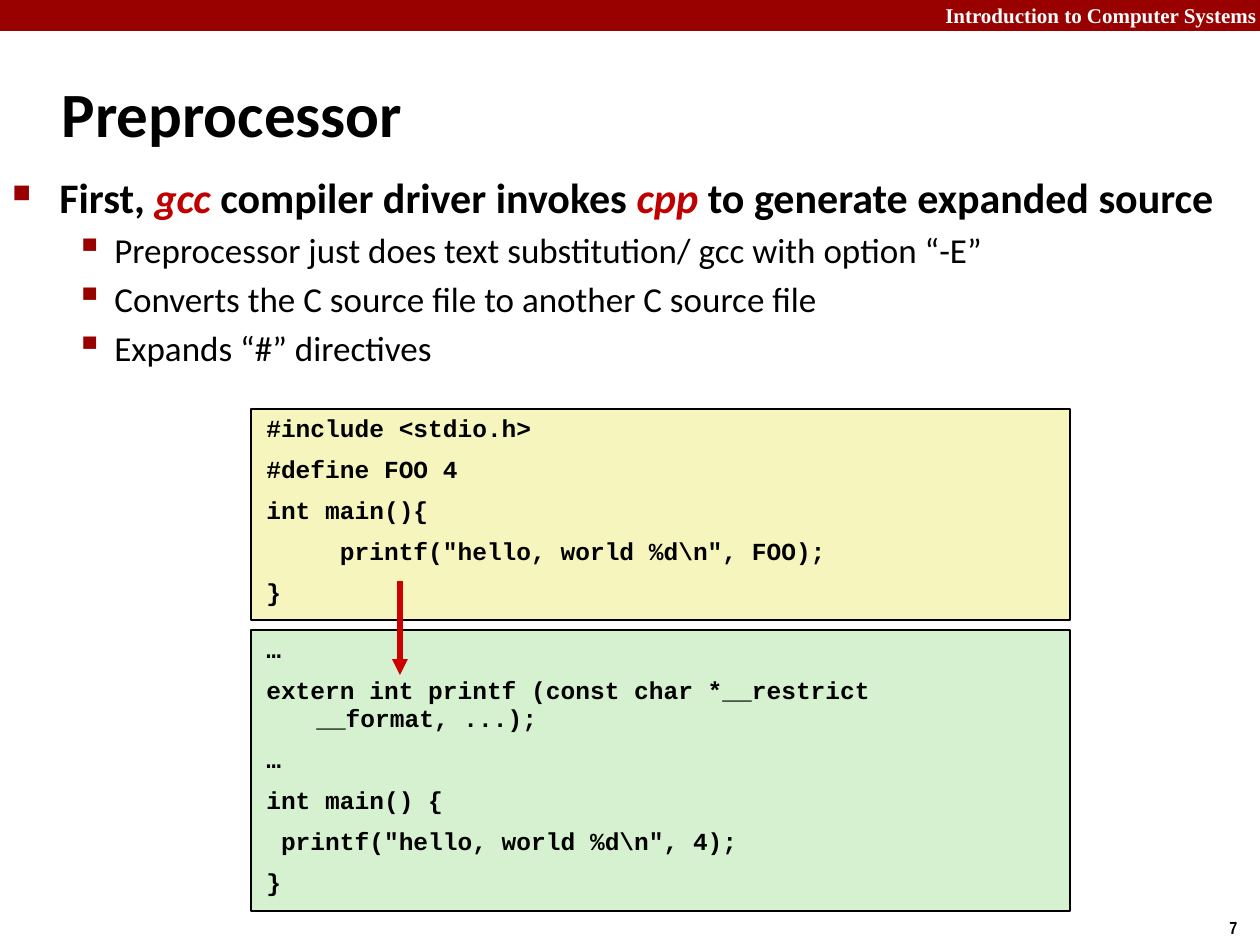
from lxml import etree
from pptx import Presentation
from pptx import util as u
from pptx.dml.color import RGBColor
from pptx.enum import shapes, text
from pptx.oxml import ns

RED = RGBColor(0x99, 0, 0)
ACCENT = RGBColor(0xC0, 0, 0)
ARROW = RGBColor(0xCC, 0, 0)
BLACK = RGBColor(0, 0, 0)
WHITE = RGBColor(0xFF, 0xFF, 0xFF)
YELLOW = RGBColor(0xF6, 0xF5, 0xBD)
GREEN = RGBColor(0xD5, 0xF1, 0xCF)

HEADLINE = [("First, ", False), ("gcc", True), (" compiler driver invokes ", False),
            ("cpp", True), (" to generate expanded source", False)]
POINTS = [
    "Preprocessor just does text substitution/ gcc with option “-E”",
    "Converts the C source file to another C source file",
    "Expands “#” directives",
]
SOURCE = [
    "#include <stdio.h>",
    "#define FOO 4",
    "int main(){",
    "     printf(\"hello, world %d\\n\", FOO);",
    "}",
]
EXPANDED = [
    "…",
    "extern int printf (const char *__restrict __format, ...);",
    "…",
    "int main() {",
    " printf(\"hello, world %d\\n\", 4);",
    "}",
]


def px(n):
    return u.Emu(round(n * 914400 / 126))


def sub(parent, tag, **attrs):
    return etree.SubElement(parent, ns.qn(tag), attrs)


def write(p, words, size=20, font="Calibri", color=BLACK, bold=False, italic=False):
    r = p.add_run()
    r.text = words
    f = r.font
    f.size, f.name, f.bold, f.italic = u.Pt(size), font, bold, italic
    f.color.rgb = color


def indent(p, left, hanging):
    pPr = p._p.get_or_add_pPr()
    pPr.set("marL", str(px(left)))
    pPr.set("indent", str(-px(hanging)))
    return pPr


def bullet(p, char, percent, left, hanging):
    pPr = indent(p, left, hanging)
    sub(sub(pPr, "a:buClr"), "a:srgbClr", val=str(RED))
    sub(pPr, "a:buSzPct", val=str(percent * 1000))
    sub(pPr, "a:buChar", char=char)


def text_frame(s, x, y, w, h, wrap=True):
    tf = s.shapes.add_textbox(px(x), px(y), px(w), px(h)).text_frame
    tf.word_wrap = wrap
    return tf


def box(s, x, y, w, h, fill):
    sp = s.shapes.add_shape(shapes.MSO_SHAPE.RECTANGLE, px(x), px(y), px(w), px(h))
    sp.shadow.inherit = False
    sp.fill.solid()
    sp.fill.fore_color.rgb = fill
    sp.line.fill.background()
    return sp


def header(s, x, y, w, h):
    box(s, x, y, w, h, RED)
    p = text_frame(s, x + w - 504, y - 4, 513, 38).paragraphs[0]
    p.alignment = text.PP_ALIGN.RIGHT
    write(p, "Introduction to Computer Systems", size=12, font="Times New Roman",
          color=WHITE, bold=True)


def page_number(s, x, y, w, h):
    p = text_frame(s, x, y, w, h, wrap=False).paragraphs[0]
    write(p, "7", size=10, font="Arial Narrow", bold=True)


def title(s, x, y, w, h):
    sp = s.shapes.title
    sp.left, sp.top, sp.width, sp.height = px(x), px(y), px(w), px(h)
    tf = sp.text_frame
    tf.vertical_anchor = text.MSO_ANCHOR.MIDDLE
    p = tf.paragraphs[0]
    p.alignment = text.PP_ALIGN.LEFT
    indent(p, 16, 16)
    write(p, "Preprocessor", size=36, bold=True)


def body(s, x, y, w, h):
    tf = text_frame(s, x, y, w, h)
    p = tf.paragraphs[0]
    bullet(p, "■", 60, 47, 47)
    for words, command in HEADLINE:
        write(p, words, size=24, color=ACCENT if command else BLACK,
              bold=True, italic=command)
    for point in POINTS:
        p = tf.add_paragraph()
        bullet(p, "▪", 110, 102, 39)
        p.space_before = u.Pt(4)
        write(p, point)


def code(s, x, y, w, h, fill, lines):
    sp = box(s, x, y, w, h, fill)
    sp.line.color.rgb = BLACK
    sp.line.width = u.Pt(0.75)
    tf = sp.text_frame
    tf.word_wrap = True
    tf.vertical_anchor = text.MSO_ANCHOR.TOP
    for i, line in enumerate(lines):
        p = tf.add_paragraph() if i else tf.paragraphs[0]
        p.alignment = text.PP_ALIGN.LEFT
        indent(p, 53, 50)
        p.line_spacing = 0.95
        if i:
            p.space_before = u.Pt(7.5)
        write(p, line, size=14, font="Courier New", bold=True)


def arrow(s, x, y, h):
    c = s.shapes.add_connector(shapes.MSO_CONNECTOR.STRAIGHT,
                               px(x), px(y), px(x), px(y + h))
    c.line.color.rgb = ARROW
    c.line.width = u.Pt(3)
    sub(c.line._get_or_add_ln(), "a:tailEnd", type="triangle")
    sub(c._element.spPr, "a:effectLst")


def main():
    prs = Presentation()
    prs.slide_width, prs.slide_height = px(1260), px(945)
    s = prs.slides.add_slide(prs.slide_layouts[5])
    header(s, 0, 0, 1260, 31)
    page_number(s, 1217, 911, 43, 34)
    title(s, 49, 60, 1046, 105)
    body(s, 0, 165, 1260, 690)
    code(s, 251, 409, 819, 211, YELLOW, SOURCE)
    code(s, 251, 630, 819, 281, GREEN, EXPANDED)
    arrow(s, 400, 581, 94)
    prs.save("out.pptx")


if __name__ == "__main__":
    main()
